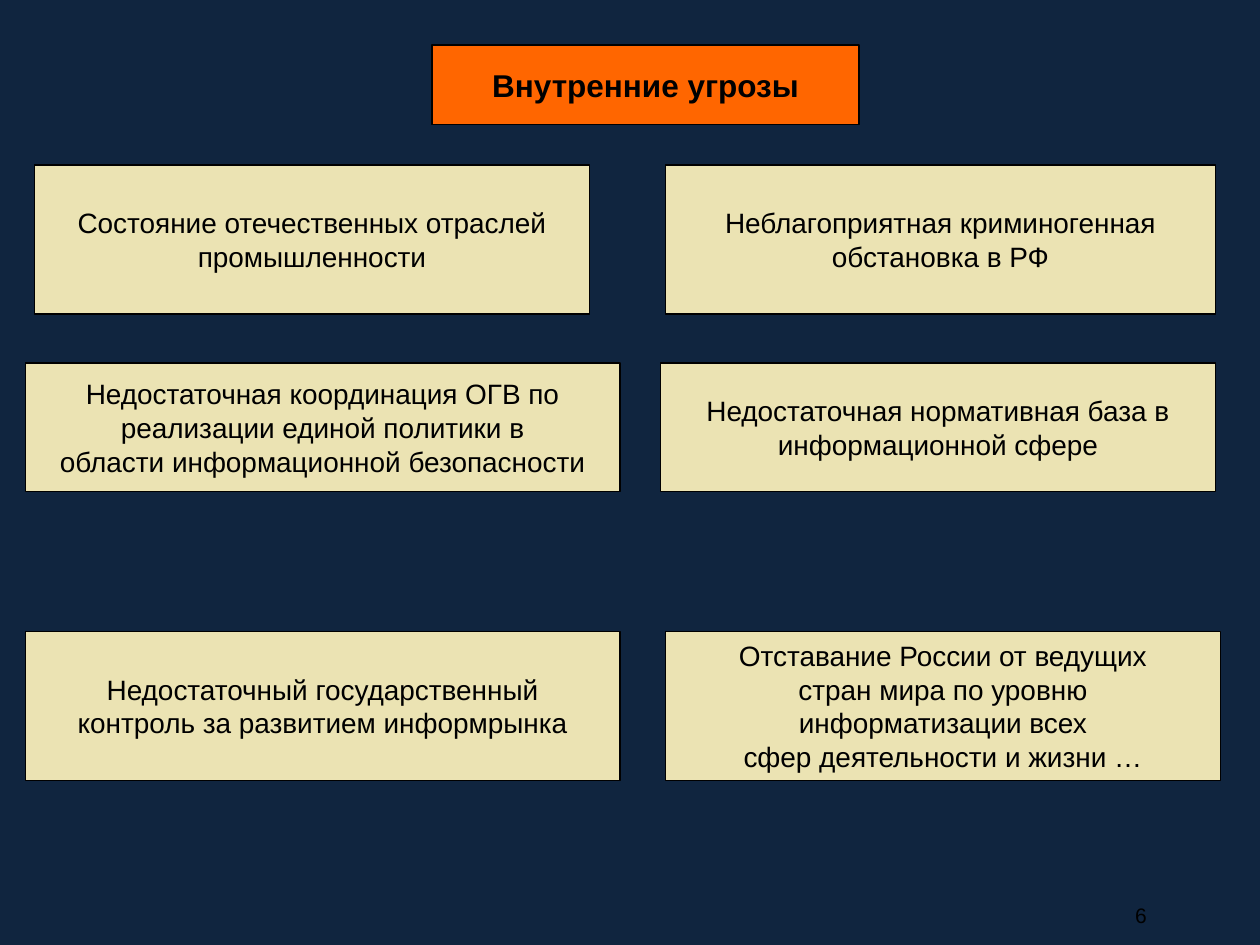
from pptx import Presentation
from pptx.dml.color import RGBColor
from pptx.enum.shapes import MSO_SHAPE
from pptx.enum.text import MSO_ANCHOR, PP_ALIGN
from pptx.util import Cm, Pt

RECT = MSO_SHAPE.RECTANGLE
MIDDLE = MSO_ANCHOR.MIDDLE
CENTER, RIGHT = PP_ALIGN.CENTER, PP_ALIGN.RIGHT

NAVY = RGBColor(0x10, 0x25, 0x3F)
ORANGE = RGBColor(0xFF, 0x66, 0x00)
SAND = RGBColor(0xEB, 0xE3, 0xB3)
BLACK = RGBColor(0x00, 0x00, 0x00)

TITLE = "Внутренние угрозы"
PAGE_NUMBER = "6"

# Each row: top, height, then its boxes as (left, width, lines), all in cm
ROWS = [
    (3.33, 3.0, [
        (0.69, 11.2, ["Состояние отечественных отраслей", "промышленности"]),
        (13.41, 11.1, ["Неблагоприятная криминогенная", "обстановка в РФ"]),
    ]),
    (7.32, 2.59, [
        (0.51, 11.99, ["Недостаточная координация ОГВ по",
                       "реализации единой политики в",
                       "области информационной безопасности"]),
        (13.31, 11.2, ["Недостаточная нормативная база в",
                       "информационной сфере"]),
    ]),
    (12.73, 3.0, [
        (0.51, 11.99, ["Недостаточный государственный",
                       "контроль за развитием информрынка"]),
        (13.41, 11.2, ["Отставание России от ведущих",
                       "стран мира по уровню",
                       "информатизации всех",
                       "сфер деятельности и жизни …"]),
    ]),
]


def write_lines(shape, lines, size, align=CENTER, bold=False):
    tf = shape.text_frame
    tf.word_wrap = False
    tf.vertical_anchor = MIDDLE
    for i, line in enumerate(lines):
        p = tf.add_paragraph() if i else tf.paragraphs[0]
        p.alignment = align
        r = p.add_run()
        r.text = line
        r.font.name = "Arial"
        r.font.size = Pt(size)
        r.font.bold = bold
        r.font.color.rgb = BLACK


def add_box(s, left, top, width, height, color, lines, size=16, bold=False):
    sp = s.shapes.add_shape(RECT, Cm(left), Cm(top), Cm(width), Cm(height))
    sp.shadow.inherit = False
    sp.fill.solid()
    sp.fill.fore_color.rgb = color
    sp.line.color.rgb = BLACK
    sp.line.width = Pt(0.75)
    write_lines(sp, lines, size, bold=bold)


prs = Presentation()
prs.slide_width, prs.slide_height = Cm(25.4), Cm(19.05)
s = prs.slides.add_slide(prs.slide_layouts[6])
s.background.fill.solid()
s.background.fill.fore_color.rgb = NAVY

add_box(s, 8.71, 0.91, 8.61, 1.6, ORANGE, [TITLE], size=18, bold=True)
for top, height, boxes in ROWS:
    for left, width, lines in boxes:
        add_box(s, left, top, width, height, SAND, lines)

number = s.shapes.add_textbox(Cm(21.37), Cm(18), Cm(2), Cm(0.9))
number.text_frame.auto_size = None
write_lines(number, [PAGE_NUMBER], 12, align=RIGHT)
number.text_frame.word_wrap = True

prs.save("out.pptx")
